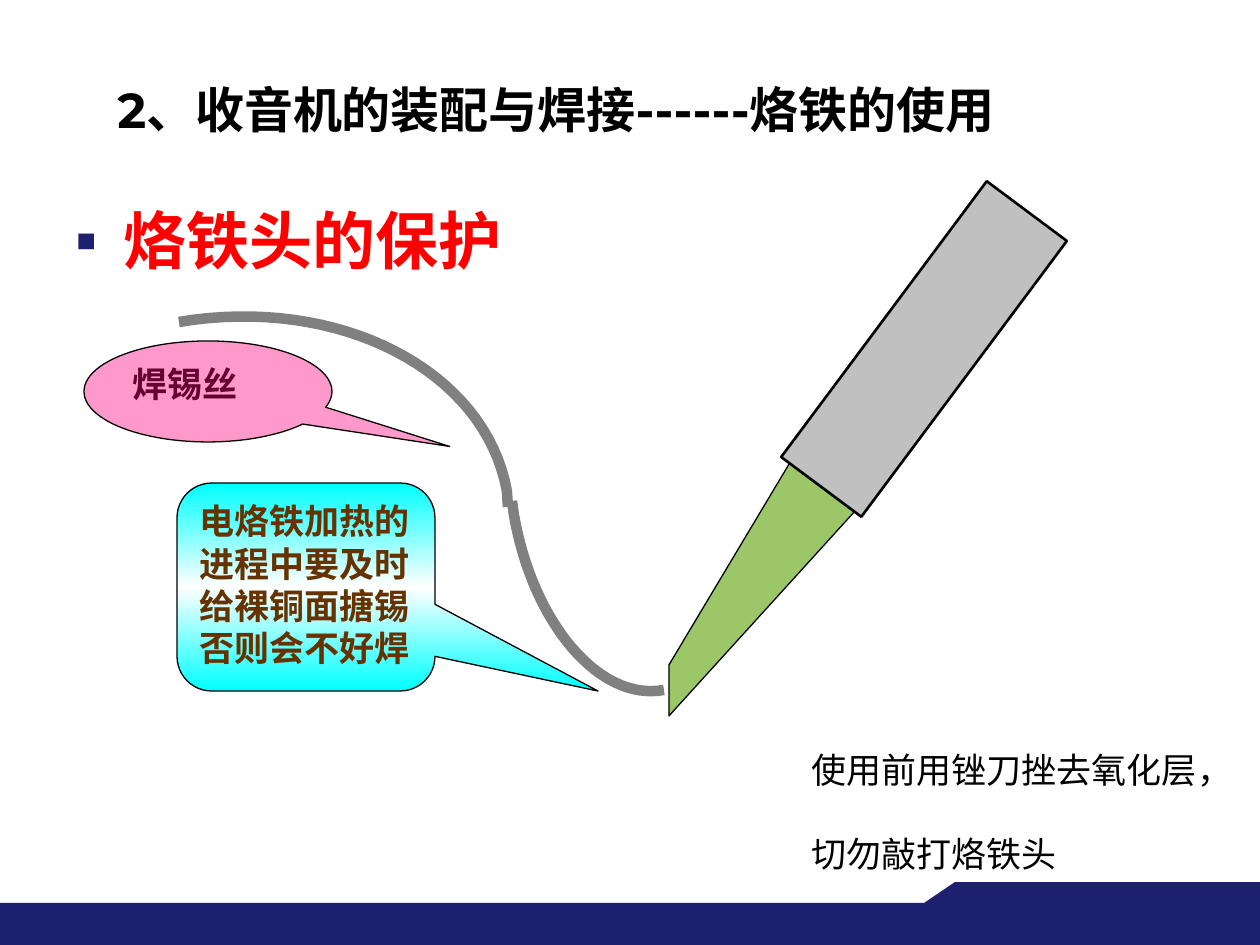
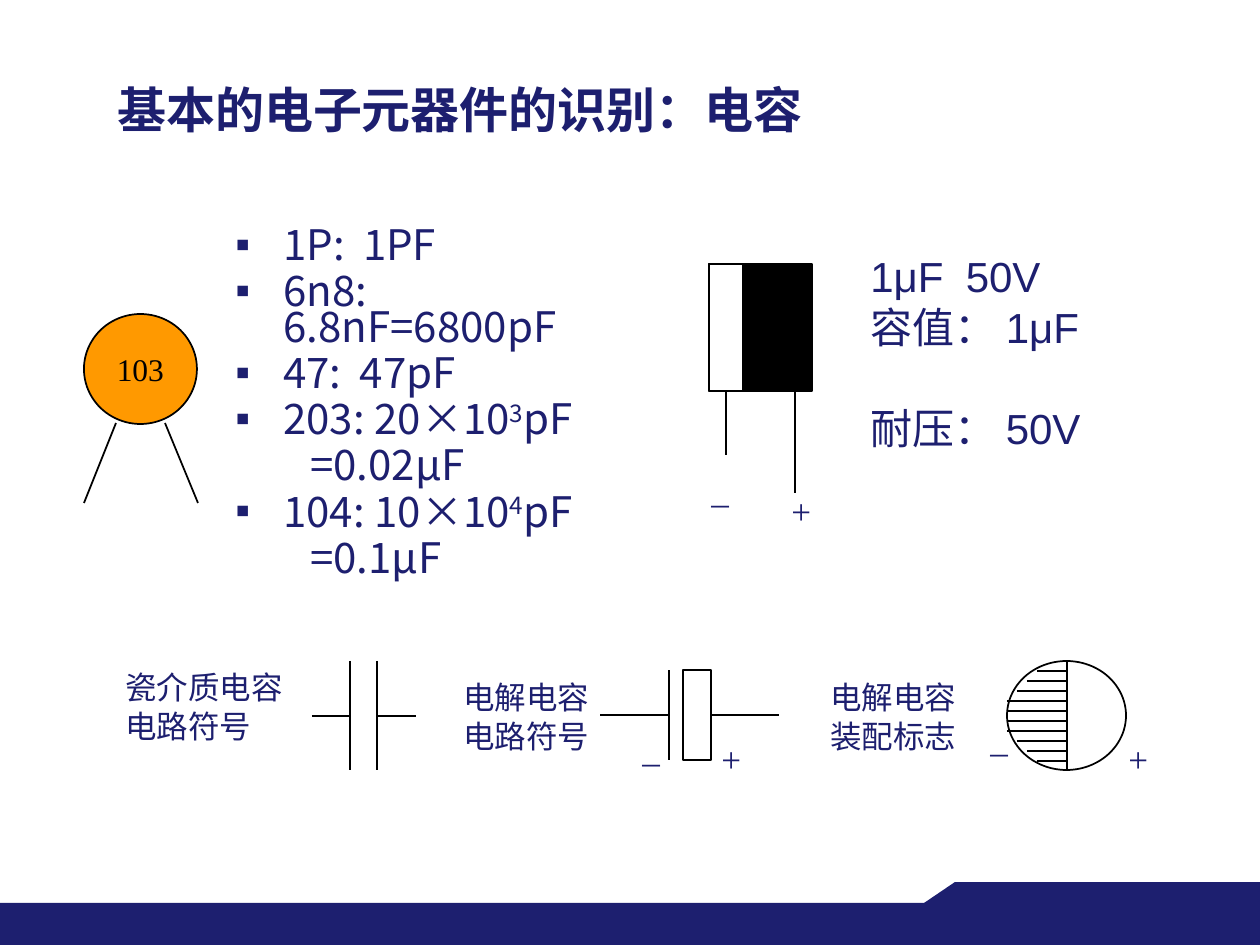
from copy import deepcopy
from dataclasses import dataclass
from typing import NamedTuple

from lxml import etree
from pptx import Presentation
from pptx.dml.color import RGBColor
from pptx.enum.shapes import MSO_CONNECTOR, MSO_SHAPE
from pptx.enum.text import MSO_ANCHOR, PP_ALIGN
from pptx.oxml.ns import qn
from pptx.util import Emu, Pt

RECT, OVAL = MSO_SHAPE.RECTANGLE, MSO_SHAPE.OVAL
OVAL_CALLOUT = MSO_SHAPE.OVAL_CALLOUT
ROUND_CALLOUT = MSO_SHAPE.ROUNDED_RECTANGULAR_CALLOUT
STRAIGHT = MSO_CONNECTOR.STRAIGHT
MIDDLE, CENTER = MSO_ANCHOR.MIDDLE, PP_ALIGN.CENTER
BOTTOM_SIDE, RIGHT_SIDE = 2, 3
PX_PER_INCH = 126
SLIDE_W, SLIDE_H = 1260, 945


@dataclass(frozen=True)
class Theme:
    navy: RGBColor = RGBColor(0x1D, 0x1F, 0x6F)
    black: RGBColor = RGBColor(0, 0, 0)
    white: RGBColor = RGBColor(255, 255, 255)
    red: RGBColor = RGBColor(255, 0, 0)
    pink: RGBColor = RGBColor(0xFF, 0x99, 0xCC)
    plum: RGBColor = RGBColor(0x66, 0, 0x33)
    brown: RGBColor = RGBColor(0x66, 0x33, 0)
    cyan: RGBColor = RGBColor(0, 255, 255)
    solder: RGBColor = RGBColor(0x80, 0x80, 0x80)
    handle: RGBColor = RGBColor(0xC0, 0xC0, 0xC0)
    tip: RGBColor = RGBColor(0x9C, 0xC7, 0x69)
    orange: RGBColor = RGBColor(0xFF, 0x99, 0)
    cjk: str = "Noto Sans CJK SC"
    line_ratio: float = 1.21
    tight_ratio: float = 0.85
    thin: float = 0.75
    normal: float = 1
    bold_line: float = 1.5
    wire: float = 6


THEME = Theme()


class Box(NamedTuple):
    x: int
    y: int
    w: int
    h: int


class Style(NamedTuple):
    size: int
    font: str
    color: RGBColor
    bold: bool = False
    ratio: float = THEME.line_ratio


class Run(NamedTuple):
    text: str
    superscript: bool = False
    spread: int = 0


class Para(NamedTuple):
    runs: list[Run | None]
    before: float = 0
    bullet: bool = False
    margin: int = 0


class Wire(NamedTuple):
    x1: int
    y1: int
    x2: int
    y2: int
    width: float = THEME.normal


TITLE = Style(28, "Montserrat", THEME.navy, True)
TITLE_BLACK = TITLE._replace(color=THEME.black)
HEADING = Style(36, "Noto Sans CJK JP", THEME.red, True)
SOLDER_TEXT = Style(20, "Times New Roman", THEME.plum, True)
TINNING_TEXT = SOLDER_TEXT._replace(color=THEME.brown)
NOTE = Style(20, "Arial", THEME.black)
CODES = Style(24, THEME.cjk, THEME.navy, ratio=THEME.tight_ratio)
RATING = Style(24, "Arial", THEME.navy)
LABEL = Style(18, "Arial", THEME.navy)
SIGN = Style(20, "Times New Roman", THEME.navy)
MARKING = Style(18, "Times New Roman", THEME.black)


def px(value: float) -> Emu:
    return Emu(round(value * 914400 / PX_PER_INCH))


def plain(text: str, before: float = 0) -> Para:
    return Para([Run(text)], before)


def add_bullet(paragraph) -> None:
    props = paragraph._p.get_or_add_pPr()
    color = etree.SubElement(props, qn("a:buClr"))
    etree.SubElement(color, qn("a:srgbClr"), val=str(THEME.navy))
    etree.SubElement(props, qn("a:buFont"), typeface="Arial")
    etree.SubElement(props, qn("a:buChar"), char="▪")


def write(frame, paras: list[Para], style: Style) -> None:
    for number, para in enumerate(paras):
        paragraph = frame.add_paragraph() if number else frame.paragraphs[0]
        props = paragraph._p.get_or_add_pPr()
        if para.bullet:
            props.set("marL", str(px(48)))
            props.set("indent", str(px(-48)))
            add_bullet(paragraph)
        elif para.margin:
            props.set("marL", str(px(para.margin)))
        paragraph.line_spacing = Pt(style.size * style.ratio)
        if number:
            paragraph.space_before = Pt(para.before)
        for part in para.runs:
            if part is None:
                paragraph.add_line_break()
                continue
            run = paragraph.add_run()
            run.text = part.text
            font = run.font
            font.size, font.bold, font.name = Pt(style.size), style.bold, style.font
            font.color.rgb = style.color
            run_props = run._r.get_or_add_rPr()
            if part.superscript:
                run_props.set("baseline", "30000")
            if part.spread:
                run_props.set("spc", str(part.spread * 100))
            east_asian = etree.Element(qn("a:ea"), typeface=THEME.cjk)
            run_props.find(qn("a:latin")).addnext(east_asian)


def add_text(slide, box: Box, paras: list[Para], style: Style):
    frame = slide.shapes.add_textbox(*map(px, box)).text_frame
    frame.word_wrap = True
    write(frame, paras, style)
    return frame


def paint(shape, fill: RGBColor | None, line: RGBColor | None, width: float):
    shape.shadow.inherit = False
    if fill is None:
        shape.fill.background()
    else:
        shape.fill.solid()
        shape.fill.fore_color.rgb = fill
    if line is None:
        shape.line.fill.background()
    else:
        shape.line.color.rgb = line
        shape.line.width = Pt(width)
    return shape


def add_shape(slide, kind, box: Box, fill: RGBColor | None = None,
              line: RGBColor | None = THEME.black, width: float = THEME.normal):
    return paint(slide.shapes.add_shape(kind, *map(px, box)), fill, line, width)


def add_outline(slide, points: list[tuple[float, float]], fill: RGBColor | None = None,
                line: RGBColor | None = None, width: float = THEME.thin, close: bool = True):
    start, *rest = [(px(x), px(y)) for x, y in points]
    builder = slide.shapes.build_freeform(*start)
    builder.add_line_segments(rest, close=close)
    return paint(builder.convert_to_shape(), fill, line, width)


def add_wire(slide, wire: Wire):
    connector = slide.shapes.add_connector(STRAIGHT, *map(px, wire[:4]))
    connector.line.color.rgb = THEME.black
    connector.line.width = Pt(wire.width)
    etree.SubElement(connector._element.spPr, qn("a:effectLst"))
    return connector


def bezier(a, b, c, d, steps: int = 32) -> list[tuple[float, float]]:
    return [
        tuple((1 - t) ** 3 * p + 3 * (1 - t) ** 2 * t * q + 3 * (1 - t) * t * t * r + t ** 3 * s
              for p, q, r, s in zip(a, b, c, d))
        for t in (step / steps for step in range(steps + 1))
    ]


def add_callout(slide, kind, box: Box, tail: tuple[float, ...], fill: RGBColor,
                text: str, style: Style):
    callout = add_shape(slide, kind, box, fill, width=THEME.thin)
    for number, value in enumerate(tail):
        callout.adjustments[number] = value
    callout.text_frame.word_wrap = True
    callout.text_frame.vertical_anchor = MSO_ANCHOR.TOP
    write(callout.text_frame, [plain(text)], style)
    callout.text_frame.paragraphs[0].alignment = PP_ALIGN.LEFT
    return callout


def fill_mirrored(shape, edge: RGBColor, middle: RGBColor) -> None:
    shape.fill.gradient()
    shape.fill.gradient_angle = 90
    stops = shape.fill.gradient_stops
    for stop, color, position in zip(stops, (edge, middle), (0, 0.5)):
        stop.color.rgb = color
        stop.position = position
    stop_list = shape._element.spPr.find(qn("a:gradFill")).find(qn("a:gsLst"))
    last = deepcopy(stop_list[0])
    last.set("pos", "100000")
    stop_list.append(last)


def start_slide(deck, title: str, style: Style):
    slide = deck.slides.add_slide(deck.slide_layouts[6])
    add_shape(slide, RECT, Box(0, 903, SLIDE_W, 42), THEME.navy, None)
    add_outline(slide, [(924, 903), (955, 882), (SLIDE_W, 882), (SLIDE_W, 914), (924, 914)],
                THEME.navy)
    add_text(slide, Box(105, 70, 1081, 78), [plain(title)], style).vertical_anchor = MIDDLE
    return slide


def build_iron_slide(deck) -> None:
    slide = start_slide(deck, "2、收音机的装配与焊接------烙铁的使用", TITLE_BLACK)
    add_text(slide, Box(63, 195, 1134, 687), [Para([Run("烙铁头的保护")], bullet=True)], HEADING)
    add_callout(slide, OVAL_CALLOUT, Box(84, 341, 248, 101), (0.975, 0.545),
                THEME.pink, "焊锡丝", SOLDER_TEXT)
    upper_solder = bezier((179, 322), (339, 295), (485, 370), (507, 491)) + [(508, 507)]
    lower_solder = bezier((664, 690), (600, 702), (533, 624), (514, 515)) + [(512, 501)]
    for solder in (upper_solder, lower_solder):
        add_outline(slide, solder, None, THEME.solder, THEME.wire, close=False)
    add_outline(slide, [(791, 461), (669, 665), (669, 716), (857, 509)], THEME.tip, THEME.black)
    handle = add_shape(slide, RECT, Box(874, 177, 100, 344), THEME.handle, width=THEME.bold_line)
    handle.rotation = 36.7
    tinning = add_callout(slide, ROUND_CALLOUT, Box(177, 483, 258, 208), (1.132, 0.5, 0.167),
                          THEME.cyan, "电烙铁加热的进程中要及时给裸铜面搪锡否则会不好焊", TINNING_TEXT)
    fill_mirrored(tinning, THEME.cyan, THEME.white)
    add_text(slide, Box(799, 742, 461, 138),
             [plain("使用前用锉刀挫去氧化层，"), plain("切勿敲打烙铁头", 24)], NOTE)


def code_list() -> list[Para]:
    def single(code: str, value: str) -> Para:
        return Para([Run(code), Run(" ", spread=5), Run(value)], 6, True)

    def powered(base: str, exponent: str, result: str) -> list[Para]:
        return [Para([Run(base), Run(exponent, True), Run("pF")], 6, True),
                Para([Run(result)], 6, margin=75)]

    return [
        single("1P:", "1PF"),
        Para([Run("6n8:"), None, Run("6.8nF=6800pF")], 6, True),
        single("47:", "47pF"),
        *powered("203: 20×10", "3", "=0.02μF"),
        *powered("104: 10×10", "4", "=0.1μF"),
    ]


def build_capacitor_slide(deck) -> None:
    slide = start_slide(deck, "基本的电子元器件的识别：电容", TITLE)
    add_text(slide, Box(223, 227, 437, 374), code_list(), CODES)

    disc = add_shape(slide, OVAL, Box(84, 314, 113, 110), THEME.orange)
    disc.text_frame.word_wrap = False
    disc.text_frame.vertical_anchor = MIDDLE
    write(disc.text_frame, [plain("103")], MARKING)
    disc.text_frame.paragraphs[0].alignment = CENTER

    add_text(slide, Box(858, 244, 258, 214),
             [Para([Run("1μF"), Run(" ", spread=6), Run("50V")]),
              plain("容值： 1μF"), plain("耐压： 50V", 29)], RATING)
    add_shape(slide, RECT, Box(709, 264, 103, 127), THEME.black)
    negative_band = add_shape(slide, RECT, Box(709, 264, 34, 127), THEME.white)
    negative_lead = add_wire(slide, Wire(726, 391, 726, 455))
    negative_lead.begin_connect(negative_band, BOTTOM_SIDE)

    positive_plate = add_shape(slide, RECT, Box(683, 670, 28, 90))
    positive_lead = add_wire(slide, Wire(711, 715, 779, 715))
    positive_lead.begin_connect(positive_plate, RIGHT_SIDE)

    disc_legs = [Wire(116, 423, 84, 503), Wire(165, 423, 198, 503)]
    can_lead = Wire(795, 391, 795, 493)
    ceramic_symbol = [Wire(350, 661, 350, 770), Wire(377, 661, 377, 770),
                      Wire(377, 716, 416, 716), Wire(312, 716, 350, 716)]
    negative_plate = [Wire(669, 760, 669, 670), Wire(669, 715, 600, 715)]
    for wire in (*disc_legs, can_lead, *ceramic_symbol, *negative_plate):
        add_wire(slide, wire)

    add_shape(slide, OVAL, Box(1007, 661, 119, 109))
    add_wire(slide, Wire(1067, 661, 1067, 770, THEME.thin))
    for row in range(10):
        left, y = 1037 - 10 * min(row, 9 - row, 3), 671 + 10 * row
        add_wire(slide, Wire(left, y, 1067, y, THEME.thin))

    for text, x, y, w in (("瓷介质电容电路符号", 113, 662, 198),
                          ("电解电容电路符号", 451, 672, 159),
                          ("电解电容装配标志", 818, 672, 159)):
        add_text(slide, Box(x, y, w, 88), [plain(text)], LABEL)
    for text, x, y in (("_", 699, 462), ("+", 779, 483), ("_", 630, 721),
                       ("+", 709, 731), ("_", 978, 711), ("+", 1116, 731)):
        add_text(slide, Box(x, y, 42, 55), [plain(text)], SIGN)


def main() -> None:
    deck = Presentation()
    deck.slide_width, deck.slide_height = px(SLIDE_W), px(SLIDE_H)
    build_iron_slide(deck)
    build_capacitor_slide(deck)
    deck.save("out.pptx")


if __name__ == "__main__":
    main()
